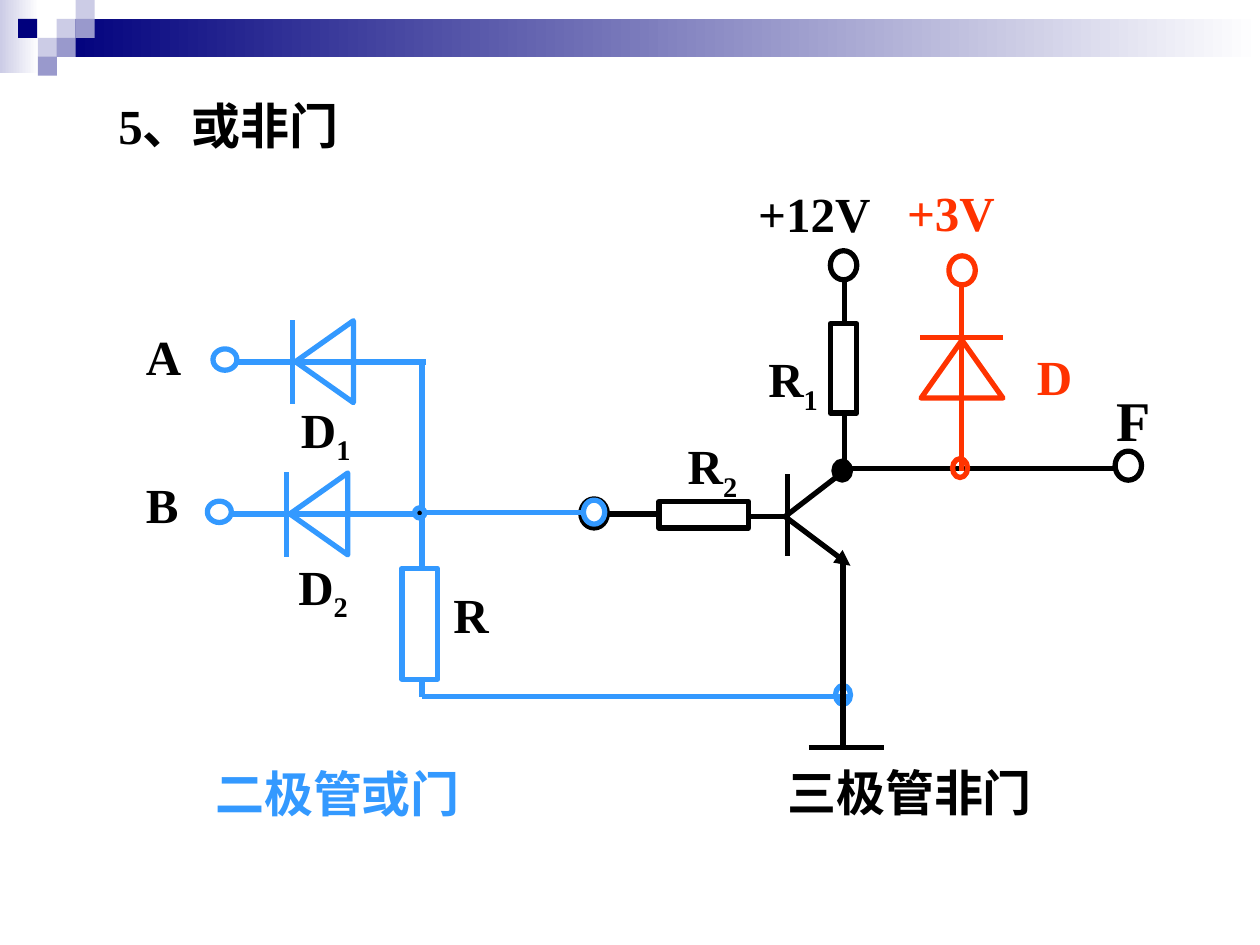
from lxml import etree
from pptx import Presentation
from pptx.dml.color import RGBColor
from pptx.enum import shapes as sh
from pptx.oxml.ns import qn
from pptx.util import Pt

BLACK = RGBColor(0x00, 0x00, 0x00)
WHITE = RGBColor(0xFF, 0xFF, 0xFF)
RED = RGBColor(0xFF, 0x33, 0x00)
BLUE = RGBColor(0x33, 0x99, 0xFF)
NAVY = RGBColor(0x00, 0x00, 0x7D)
LILAC = RGBColor(0xCC, 0xCC, 0xE6)
MAUVE = RGBColor(0x99, 0x99, 0xCC)

RECT = sh.MSO_SHAPE.RECTANGLE
OVAL = sh.MSO_SHAPE.OVAL
TRI = sh.MSO_SHAPE.ISOSCELES_TRIANGLE

deck = Presentation()
deck.slide_width, deck.slide_height = Pt(720), Pt(540)
slide = deck.slides.add_slide(deck.slide_layouts[6])


def draw(kind, box, line=None, fill=None, turn=0):
    """Add a shape with an optional 3 pt outline and solid fill."""
    item = slide.shapes.add_shape(kind, *[Pt(v) for v in box])
    item.shadow.inherit = False
    item.rotation = turn
    if fill is None:
        item.fill.background()
    else:
        item.fill.solid()
        item.fill.fore_color.rgb = fill
    if line is None:
        item.line.fill.background()
    else:
        item.line.color.rgb = line
        item.line.width = Pt(3)
    return item


def wire(color, *ends):
    """Add a 3 pt straight line from (x1, y1) to (x2, y2)."""
    item = slide.shapes.add_connector(
        sh.MSO_CONNECTOR.STRAIGHT, *[Pt(v) for v in ends])
    item.line.color.rgb = color
    item.line.width = Pt(3)
    etree.SubElement(item._element.spPr, qn("a:effectLst"))
    return item


# Header band and its chequered corner
for box, left in [((0, 0, 22.3, 41.8), LILAC), ((32.4, 10.8, 687.6, 21.6), NAVY)]:
    band = draw(RECT, box)
    band.fill.gradient()
    band.fill.gradient_angle = 0
    for stop, color in zip(band.fill.gradient_stops, (left, WHITE)):
        stop.color.rgb = color
for x, y, color in [
    (32.4, 10.8, LILAC), (43.2, 0, LILAC), (43.2, 10.8, MAUVE),
    (21.6, 21.6, LILAC), (10.3, 10.8, NAVY), (32.4, 21.6, MAUVE),
    (21.6, 32.4, MAUVE),
]:
    draw(RECT, (x, y, 10.9, 10.9), fill=color)

# Transistor stage
for ends in [
    (450, 271, 450, 317.5),      # base bar
    (448.6, 295.2, 486, 266.4),  # collector
    (448.6, 295.2, 427.7, 295.2),
    (481.7, 267.8, 635.8, 267.8),
    (462.2, 427, 505.4, 427),    # ground
    (375.8, 293.8, 347, 293.8),
    (482.4, 236.2, 482.4, 267.8),
    (482.4, 185, 482.4, 159.8),
]:
    wire(BLACK, *ends)
emit = wire(BLACK, 448.6, 295.2, 486, 323.3)
etree.SubElement(emit.line._get_or_add_ln(), qn("a:tailEnd"), type="triangle")
draw(OVAL, (476.6, 263.5, 9.4, 10.8), BLACK, BLACK)
for x, y in [(331.9, 285.1), (637.2, 257.8), (474.5, 143.3)]:
    draw(OVAL, (x, y, 15.1, 16.6), BLACK)
draw(RECT, (474.5, 185, 15.1, 51.1), BLACK)
draw(RECT, (394.6, 268.6, 15.1, 51.1), BLACK, turn=90)

# Clamp diode
wire(RED, 573.1, 193, 525.6, 193)
draw(TRI, (526.3, 194.4, 46.8, 33.1), RED)
wire(RED, 549.4, 161.3, 549.4, 269.3)
draw(OVAL, (544.3, 262.1, 8.6, 10.8), RED)
draw(OVAL, (542.2, 146.2, 15.1, 16.6), RED)

# Diode gate: two equal inputs
wire(BLUE, 236.9, 293, 334.8, 293)
for dx, dy in [(0, 0), (-3.2, 87)]:
    wire(BLUE, 167 + dx, 182.9 + dy, 167 + dx, 231.1 + dy)
    draw(TRI, (162 + dx, 190.1 + dy, 46.8, 33.1), BLUE, turn=270)
    wire(BLUE, 135.4 + dx, 206.8 + dy, 243.4 + dx, 206.8 + dy)
    draw(OVAL, (121.7 + dx, 199.4 + dy, 13.7, 12.2), BLUE)
wire(BLUE, 241.2, 324.7, 241.2, 205.9)
draw(RECT, (229.7, 324.7, 20.2, 63.4), BLUE)
wire(BLUE, 241.2, 398.2, 241.2, 386.6)
draw(OVAL, (236.9, 290.2, 5.8, 5.8), BLUE, BLACK)
draw(OVAL, (333.4, 285.8, 12.2, 13.7), BLUE)

# Return line and emitter lead
wire(BLUE, 241.2, 398.2, 484.6, 398.2)
draw(OVAL, (477.4, 391.7, 8.6, 10.8), BLUE)
wire(BLACK, 481.7, 319, 481.7, 427)

# Labels: left, top, width, text, subscript, colour, size
for x, y, w, word, sub, color, size in [
    (60.5, 51.1, 260.6, "5、或非门", "", BLACK, 28),
    (432, 195.8, 46.8, "R", "1", BLACK, 28),
    (385.9, 245.5, 46.8, "R", "2", BLACK, 28),
    (585.4, 194.4, 37.4, "D", "", RED, 28),
    (630.7, 216.7, 47.5, "F", "", BLACK, 32),
    (426.2, 101.5, 90, "+12V", "", BLACK, 28),
    (511.2, 100.8, 90, "+3V", "", RED, 28),
    (164.9, 224.6, 49.7, "D", "1", BLACK, 28),
    (163.4, 314.6, 49.7, "D", "2", BLACK, 28),
    (76.3, 182.9, 43.2, "A", "", BLACK, 28),
    (76.3, 267.8, 43.2, "B", "", BLACK, 28),
    (252, 330.5, 45.4, "R", "", BLACK, 28),
    (115.9, 432.7, 189.4, "二极管或门", "", BLUE, 28),
    (442.8, 432, 192.2, "三极管非门", "", BLACK, 28),
]:
    high = 45.4 if sub else size * 1.15 + 8.8
    frame = slide.shapes.add_textbox(Pt(x), Pt(y), Pt(w), Pt(high)).text_frame
    frame.word_wrap = True
    para = frame.paragraphs[0]
    for part in filter(None, (word, sub)):
        run = para.add_run()
        run.text = part
        run.font.name = "Times New Roman"
        run.font.size = Pt(size)
        run.font.bold = True
        run.font.color.rgb = color
    if sub:
        run.font._element.set("baseline", "-25000")

deck.save("out.pptx")
